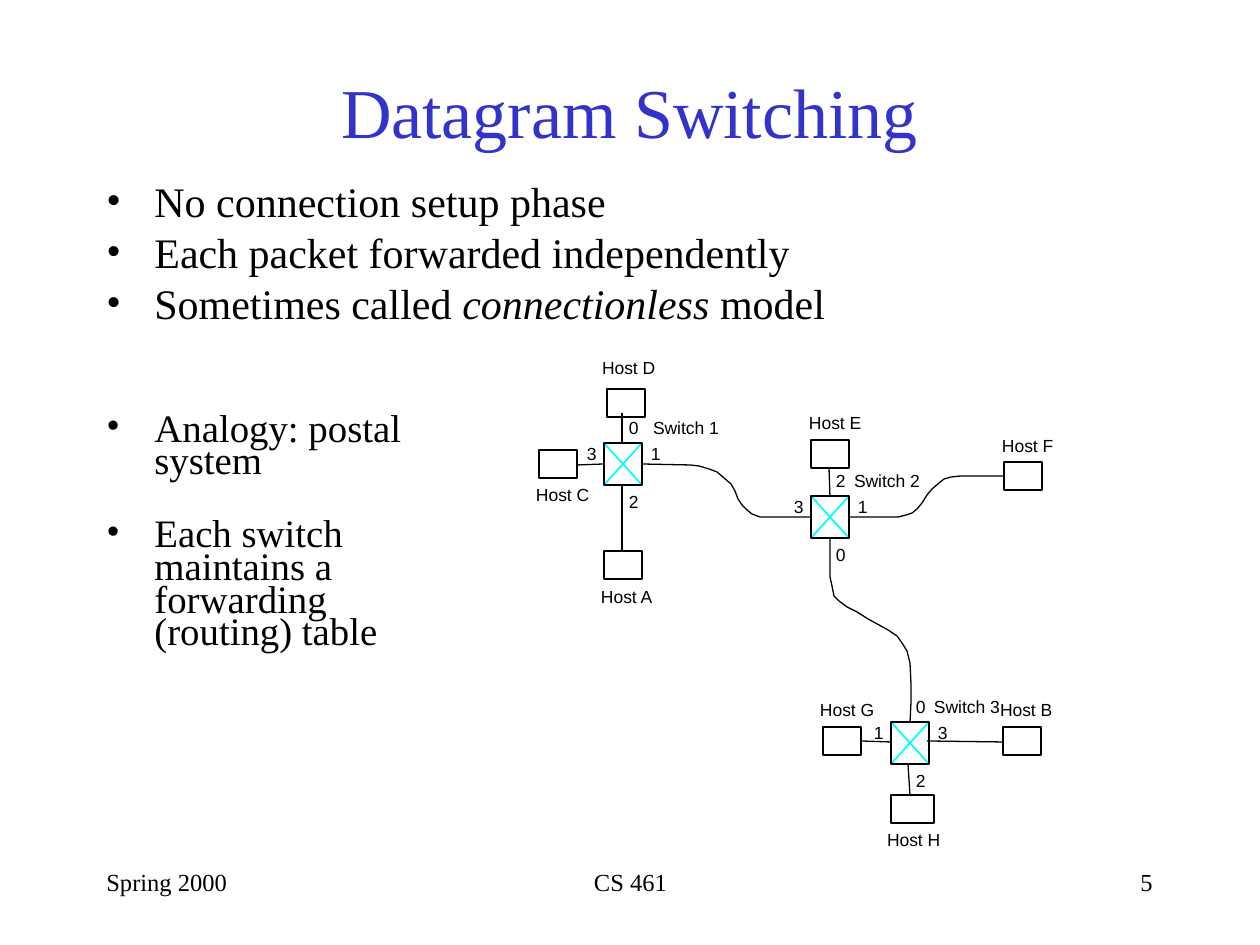
from lxml import etree
from pptx import Presentation
from pptx import util as u
from pptx.dml.color import RGBColor
from pptx.enum import shapes, text
from pptx.oxml.ns import qn

SCALE = 914400 / 126
COLORS = {"title": "3333CC", "ink": "000000", "cross": "00FFFF"}
SERIF, SANS = "Times New Roman", "Arial"
SWITCH_W, SWITCH_H = 38, 42
HOST_W, HOST_H = 38, 28

# name, left, top, gap before the name, ports (top, right, bottom, left)
SWITCHES = [
    ("Switch 1", 604, 443, 49, "0123"),
    ("Switch 2", 811, 496, 43, "2103"),
    ("Switch 3", 891, 722, 43, "0321"),
]
PORT_OFFSETS = [(25, -26), (47, 0), (25, 48), (-17, 0)]

# name, left, top, width, label left, label top
HOSTS = [
    ("Host A", 604, 551, HOST_W, 601, 586),
    ("Host B", 1003, 727, HOST_W, 1000, 699),
    ("Host C", 539, 450, HOST_W, 536, 484),
    ("Host D", 607, 389, HOST_W, 602, 357),
    ("Host E", 811, 440, HOST_W, 809, 412),
    ("Host F", 1004, 462, HOST_W, 1002, 435),
    ("Host G", 823, 727, HOST_W, 820, 699),
    ("Host H", 891, 795, 43, 887, 829),
]
HOST_LINKS = [
    (604, 464, 577, 465), (622, 413, 622, 444), (622, 485, 622, 551),
    (829, 467, 830, 496), (861, 741, 891, 742), (927, 741, 1003, 742),
    (908, 764, 910, 795),
]
CURVED_LINKS = [
    [(641, 464), (690, 465), (699, 466), (709, 469), (717, 472), (724, 478),
     (731, 484), (735, 491), (738, 499), (742, 505), (747, 510), (752, 514),
     (760, 517), (811, 517)],
    [(849, 517), (898, 517), (906, 515), (912, 513), (917, 509), (922, 503),
     (927, 495), (932, 489), (939, 483), (944, 479), (951, 477), (960, 476),
     (1004, 476)],
    [(830, 538), (830, 577), (832, 586), (834, 596), (839, 601), (847, 607),
     (857, 612), (868, 619), (879, 625), (888, 630), (897, 636), (902, 643),
     (907, 651), (910, 663), (911, 684), (911, 702), (910, 723)],
]


def px(value):
    return round(value * SCALE)


def color(name):
    return RGBColor.from_string(COLORS[name])


class Painter:
    """Holds the slide being filled and the style of its elements."""

    def __init__(self, page):
        self.page = page

    def frame(self, left, top, width, height):
        box = self.page.shapes.add_textbox(px(left), px(top), px(width), px(height))
        box.text_frame.word_wrap = True
        return box.text_frame

    def font(self, para, size, name=SERIF, ink="ink"):
        para.font.size = u.Pt(size)
        para.font.name = name
        para.font.color.rgb = color(ink)

    def line_of_text(self, words, left, top, width, height, size,
                     align=text.PP_ALIGN.LEFT, ink="ink"):
        frame = self.frame(left, top, width, height)
        para = frame.paragraphs[0]
        para.text = words
        para.alignment = align
        self.font(para, size, ink=ink)
        return frame

    def label(self, words, left, top):
        frame = self.frame(left, top, 12 * len(words), 21)
        frame.margin_left = frame.margin_right = 0
        frame.margin_top = frame.margin_bottom = 0
        para = frame.paragraphs[0]
        para.text = words
        self.font(para, 10, SANS)

    def bullets(self, items, left, top, width, height, size, spacing, gap):
        """Each item is a list of (words, italic) runs."""
        frame = self.frame(left, top, width, height)
        for index, item in enumerate(items):
            para = frame.add_paragraph() if index else frame.paragraphs[0]
            para.line_spacing = spacing
            para.space_before = u.Pt(gap if index else 0)
            props = para._p.get_or_add_pPr()
            props.set("marL", str(px(48)))
            props.set("indent", str(-px(48)))
            etree.SubElement(props, qn("a:buFont")).set("typeface", SERIF)
            etree.SubElement(props, qn("a:buChar")).set("char", "•")
            self.font(para, size)
            for words, italic in item:
                span = para.add_run()
                span.text = words
                if italic:
                    span.font.italic = True

    def outline(self, shape, ink="ink", weight=0.75):
        shape.line.color.rgb = color(ink)
        shape.line.width = u.Pt(weight)

    def rectangle(self, left, top, width, height):
        shape = self.page.shapes.add_shape(
            shapes.MSO_SHAPE.RECTANGLE, px(left), px(top), px(width), px(height))
        shape.shadow.inherit = False
        shape.fill.background()
        self.outline(shape)

    def line(self, x1, y1, x2, y2, ink="ink", weight=0.75):
        link = self.page.shapes.add_connector(
            shapes.MSO_CONNECTOR.STRAIGHT, px(x1), px(y1), px(x2), px(y2))
        etree.SubElement(link._element.spPr, qn("a:effectLst"))
        self.outline(link, ink, weight)

    def curve(self, points):
        builder = self.page.shapes.build_freeform(*points[0], scale=SCALE)
        builder.add_line_segments(points[1:], close=False)
        shape = builder.convert_to_shape()
        shape.shadow.inherit = False
        shape.fill.background()
        self.outline(shape)

    def switch(self, name, left, top, name_gap, ports):
        right, bottom = left + SWITCH_W, top + SWITCH_H
        self.line(left, top, right, bottom, "cross", 1)
        self.line(right, top, left, bottom, "cross", 1)
        self.rectangle(left, top, SWITCH_W, SWITCH_H)
        self.label(name, left + name_gap, top - 26)
        for port, (dx, dy) in zip(ports, PORT_OFFSETS):
            self.label(port, left + dx, top + dy)

    def host(self, name, left, top, width, label_left, label_top):
        self.rectangle(left, top, width, HOST_H)
        self.label(name, label_left, label_top)


def main():
    deck = Presentation()
    deck.slide_width, deck.slide_height = px(1260), px(945)
    painter = Painter(deck.slides.add_slide(deck.slide_layouts[6]))

    title = painter.line_of_text("Datagram Switching", 94, 63, 1071, 94, 40,
                                 text.PP_ALIGN.CENTER, "title")
    title.vertical_anchor = text.MSO_ANCHOR.MIDDLE
    painter.bullets(
        [[("No connection setup phase", False)],
         [("Each packet forwarded independently", False)],
         [("Sometimes called ", False), ("connectionless ", True), ("model", False)]],
        94, 179, 872, 210, 24, 0.8, 6)

    for switch in SWITCHES:
        painter.switch(*switch)
    for link in HOST_LINKS:
        painter.line(*link)
    for points in CURVED_LINKS:
        painter.curve(points)
    for host in HOSTS:
        painter.host(*host)

    painter.bullets(
        [[("Analogy: postal system", False)],
         [("Each switch maintains a forwarding (routing) table", False)]],
        94, 410, 368, 284, 22.2, 0.7, 23)

    painter.line_of_text("CS 461", 431, 861, 399, 63, 14, text.PP_ALIGN.CENTER)
    painter.line_of_text("5", 903, 861, 262, 63, 14, text.PP_ALIGN.RIGHT)
    painter.line_of_text("Spring 2000", 94, 861, 262, 63, 14)
    deck.save("out.pptx")


if __name__ == "__main__":
    main()
